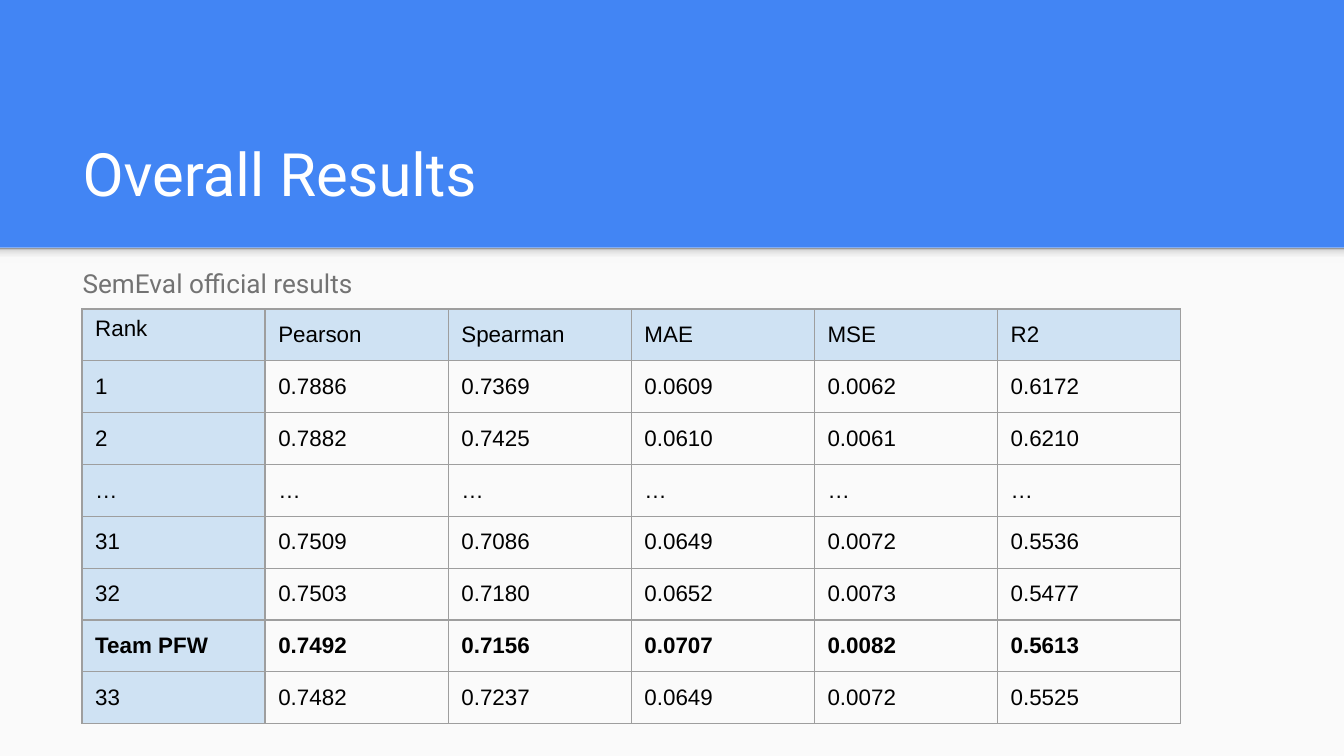
from pptx import Presentation
from pptx.dml.color import RGBColor
from pptx.enum.shapes import MSO_SHAPE
from pptx.enum.text import MSO_ANCHOR, MSO_AUTO_SIZE, PP_ALIGN
from pptx.oxml.ns import qn
from pptx.util import Cm, Pt
from lxml.etree import SubElement

COLORS = {
    "blue": "4285F4",
    "panel": "FAFAFA",
    "white": "FFFFFF",
    "gray": "737373",
    "black": "000000",
    "header": "CFE2F3",
    "border": "9E9E9E",
}
SHADOW_STOPS = [(0, "F9F9F9"), (36, "F9F9F9"), (80, "DEDEDE"), (100, "999999")]
RESULTS = [
    ["Rank", "Pearson", "Spearman", "MAE", "MSE", "R2"],
    ["1", "0.7886", "0.7369", "0.0609", "0.0062", "0.6172"],
    ["2", "0.7882", "0.7425", "0.0610", "0.0061", "0.6210"],
    ["…"] * 6,
    ["31", "0.7509", "0.7086", "0.0649", "0.0072", "0.5536"],
    ["32", "0.7503", "0.7180", "0.0652", "0.0073", "0.5477"],
    ["Team PFW", "0.7492", "0.7156", "0.0707", "0.0082", "0.5613"],
    ["33", "0.7482", "0.7237", "0.0649", "0.0072", "0.5525"],
]
OWN_TEAM = "Team PFW"


class SlideBuilder:
    heading_font = "Roboto"
    table_font = "Arial"
    inset = Cm(0.25)

    def __init__(self, page):
        self.page = page

    def color(self, name):
        return RGBColor.from_string(COLORS[name])

    def background(self, name):
        fill = self.page.background.fill
        fill.solid()
        fill.fore_color.rgb = self.color(name)

    def style(self, paragraph, font, size, color, bold=False):
        for span in paragraph.runs:
            span.font.name = font
            span.font.size = Pt(size)
            span.font.bold = bold
            span.font.color.rgb = self.color(color)

    def pad(self, frame, vertical):
        frame.margin_left = frame.margin_right = self.inset
        frame.margin_top = frame.margin_bottom = vertical

    def band(self, top, height, level):
        box = self.page.shapes.add_shape(
            MSO_SHAPE.RECTANGLE, Cm(0), Cm(top), Cm(25.4), Cm(height)
        )
        box.shadow.inherit = False
        box.line.fill.background()
        self.page.shapes._spTree.insert(2 + level, box._element)
        return box

    def panel(self, top, height):
        box = self.band(top, height, 0)
        box.fill.solid()
        box.fill.fore_color.rgb = self.color("panel")

    def edge_shadow(self, top, height):
        box = self.band(top, height, 1)
        box.fill.gradient()
        box.fill.gradient_angle = 90
        stops = box._element.spPr.find(qn("a:gradFill")).find(qn("a:gsLst"))
        for stop in list(stops):
            stops.remove(stop)
        for position, value in SHADOW_STOPS:
            stop = SubElement(stops, qn("a:gs"), pos=str(position * 1000))
            SubElement(stop, qn("a:srgbClr"), val=value)

    def placeholder(self, index, text, area, size, color, anchor):
        box = self.page.placeholders[index]
        box.left, box.top, box.width, box.height = [Cm(length) for length in area]
        frame = box.text_frame
        frame.text = text
        frame.word_wrap = True
        frame.auto_size = MSO_AUTO_SIZE.NONE
        frame.vertical_anchor = anchor
        self.pad(frame, self.inset)
        paragraph = frame.paragraphs[0]
        paragraph.alignment = PP_ALIGN.LEFT
        paragraph.space_before = Pt(0)
        self.style(paragraph, self.heading_font, size, color)
        return paragraph

    def title(self, text, area):
        self.placeholder(0, text, area, 32, "white", MSO_ANCHOR.BOTTOM)

    def body(self, text, area):
        paragraph = self.placeholder(1, text, area, 14, "gray", MSO_ANCHOR.TOP)
        paragraph.line_spacing = 1.15
        paragraph.space_after = Pt(16)
        properties = paragraph._p.get_or_add_pPr()
        properties.set("marL", "0")
        properties.set("indent", "0")
        SubElement(properties, qn("a:buNone"))

    def borders(self, cell):
        properties = cell._tc.get_or_add_tcPr()
        for side in ("lnL", "lnR", "lnT", "lnB"):
            line = SubElement(properties, qn(f"a:{side}"), w=str(Pt(0.75)))
            fill = SubElement(line, qn("a:solidFill"))
            SubElement(fill, qn("a:srgbClr"), val=COLORS["border"])

    def cell(self, cell, text, shaded, bold, vertical):
        cell.text_frame.text = text
        self.pad(cell, vertical)
        self.style(cell.text_frame.paragraphs[0], self.table_font, 12, "black", bold)
        self.borders(cell)
        if shaded:
            cell.fill.solid()
            cell.fill.fore_color.rgb = self.color("header")
        else:
            cell.fill.background()

    def table(self, rows, left, top, column_width, row_height):
        columns = len(rows[0])
        table = self.page.shapes.add_table(
            len(rows), columns, Cm(left), Cm(top),
            Cm(column_width * columns), Cm(row_height * len(rows)),
        ).table
        table.first_row = table.horz_banding = False
        for column in table.columns:
            column.width = Cm(column_width)
        for i, values in enumerate(rows):
            table.rows[i].height = Cm(row_height)
            for j, text in enumerate(values):
                vertical = Cm(0.13) if i == j == 0 else self.inset
                self.cell(
                    table.cell(i, j), text, i == 0 or j == 0,
                    values[0] == OWN_TEAM, vertical,
                )


def main():
    deck = Presentation()
    deck.slide_width, deck.slide_height = Cm(25.4), Cm(14.29)
    builder = SlideBuilder(deck.slides.add_slide(deck.slide_layouts[1]))
    builder.background("blue")
    builder.panel(4.68, 9.61)
    builder.edge_shadow(4.68, 0.3)
    builder.title("Overall Results", (1.31, 2.06, 22.83, 2.13))
    builder.body("SemEval official results", (1.31, 4.72, 22.73, 9.4))
    builder.table(RESULTS, 1.55, 5.84, 3.46, 0.98)
    deck.save("out.pptx")


if __name__ == "__main__":
    main()
